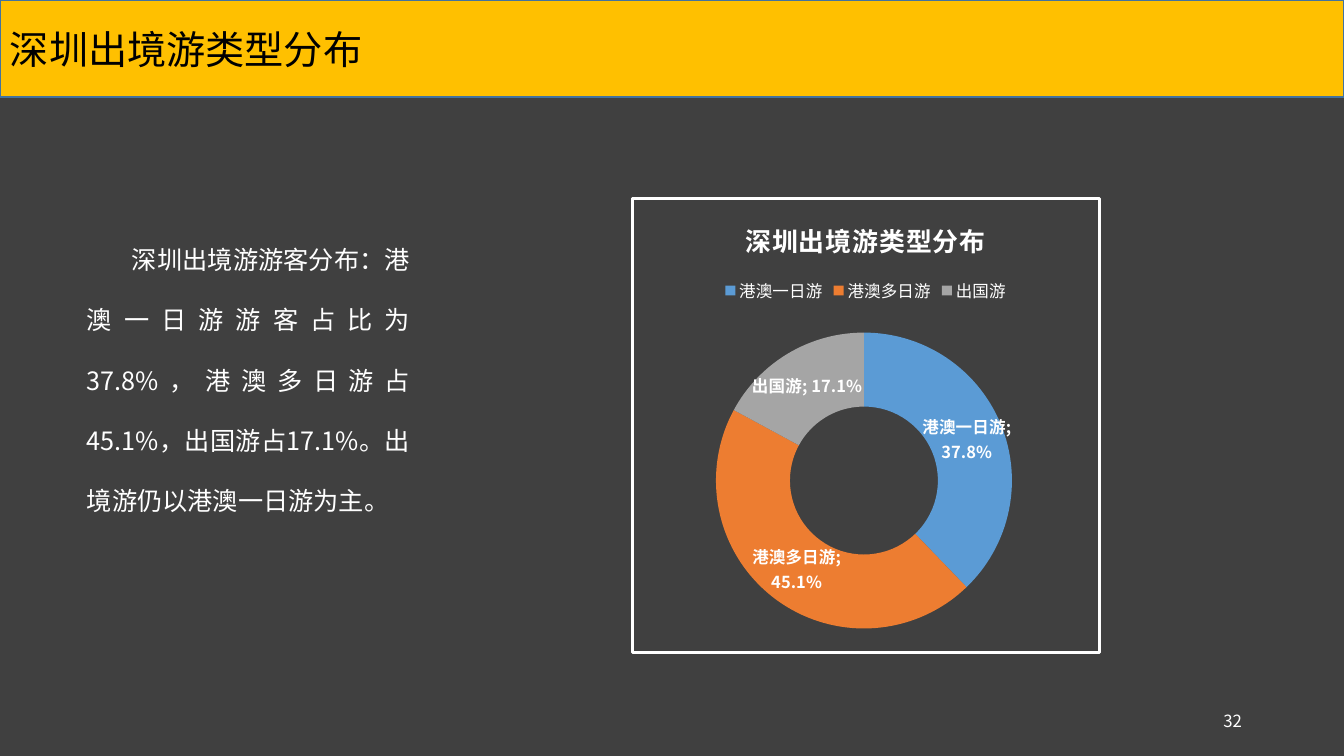
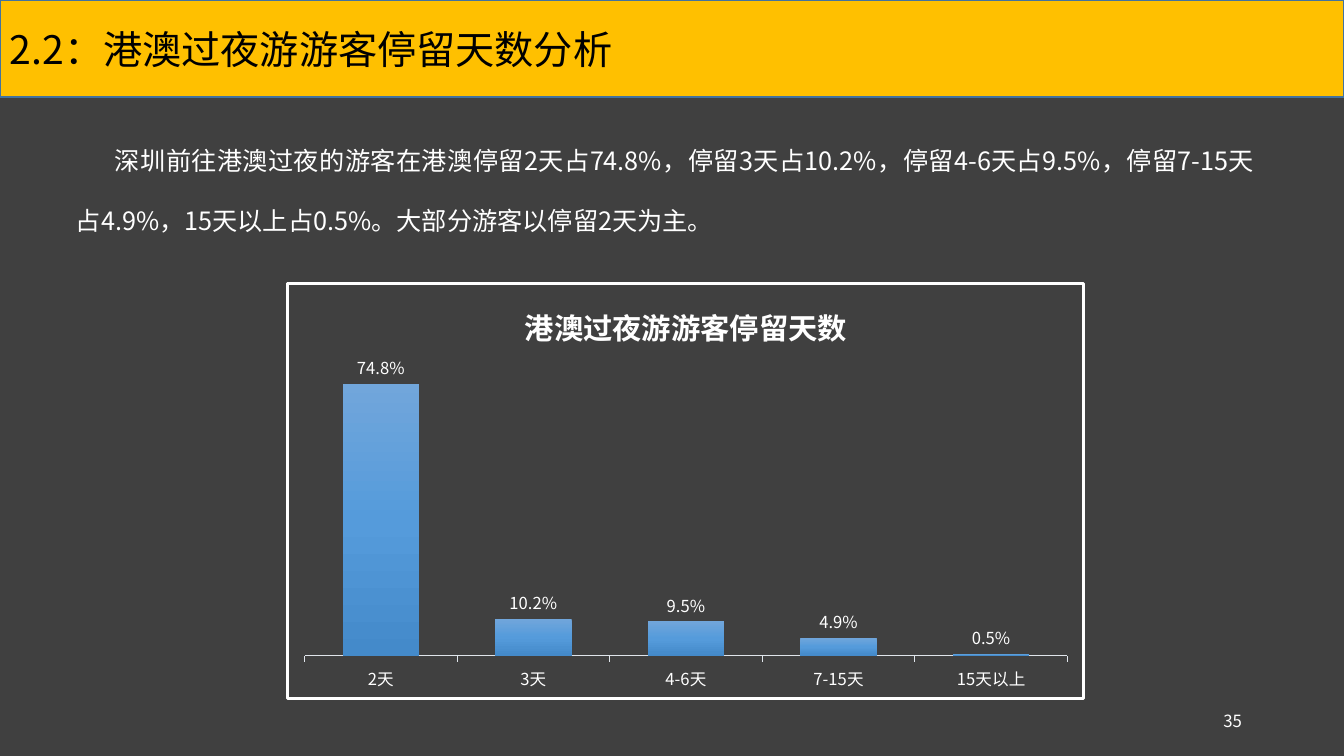
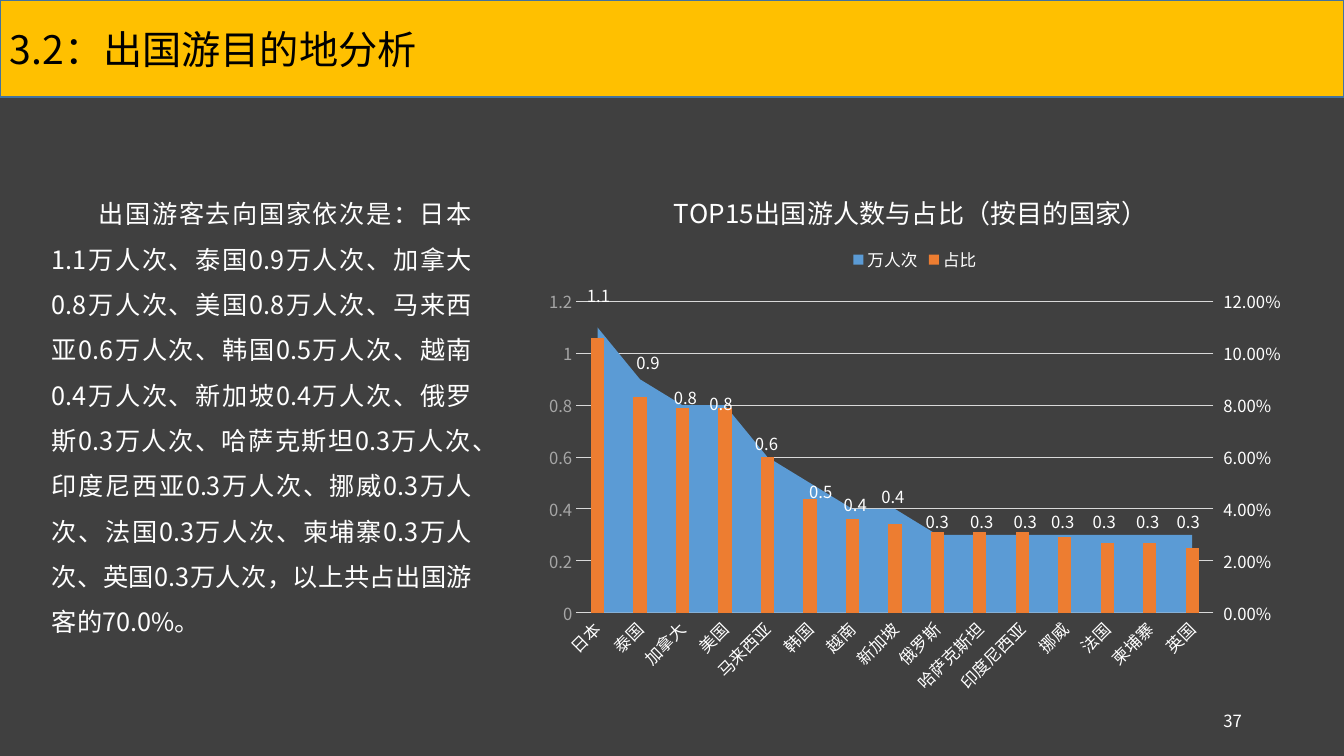
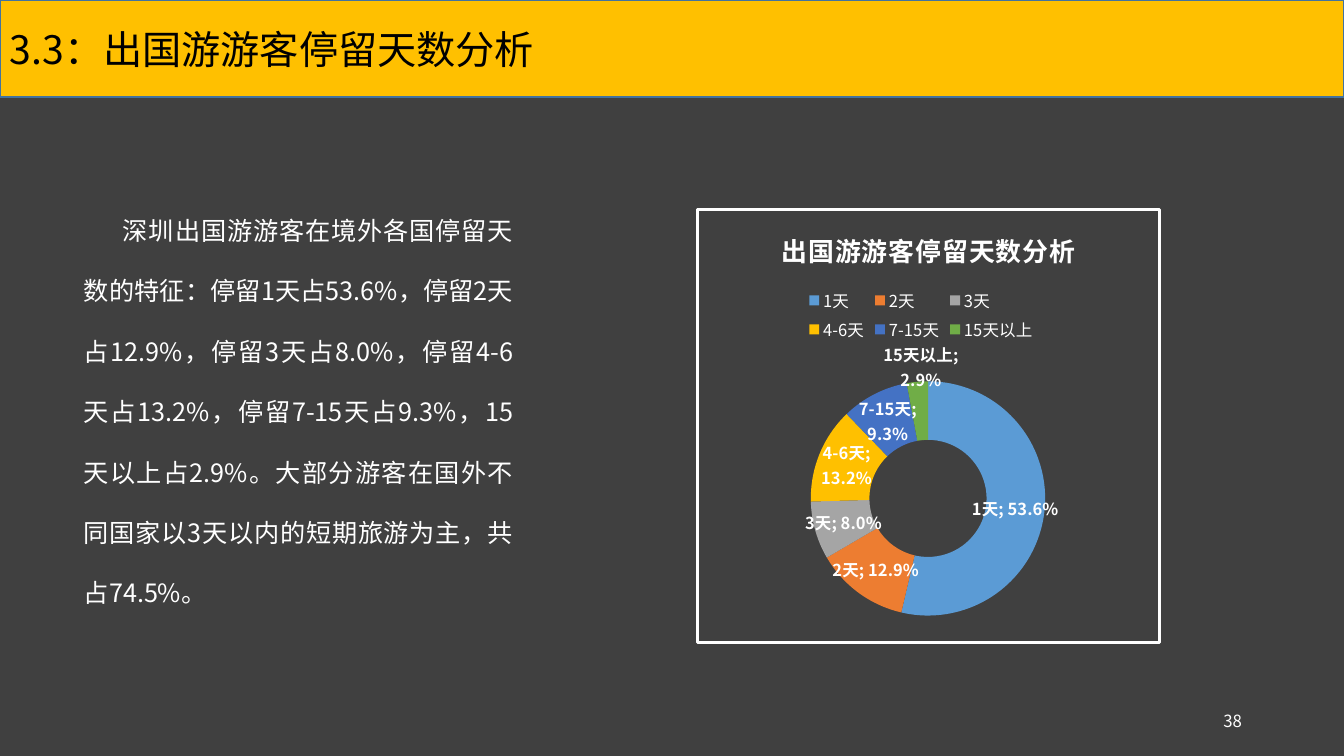
from copy import deepcopy

from pptx import Presentation
from pptx.chart.data import CategoryChartData
from pptx.dml.color import RGBColor
from pptx.enum.chart import XL_CHART_TYPE as ChartType
from pptx.enum.chart import XL_LABEL_POSITION as LabelPosition
from pptx.enum.chart import XL_LEGEND_POSITION as LegendPosition
from pptx.enum.chart import XL_TICK_MARK as TickMark
from pptx.enum.shapes import MSO_SHAPE as Preset
from pptx.enum.text import MSO_ANCHOR as Anchor
from pptx.enum.text import PP_ALIGN as Align
from pptx.oxml import parse_xml
from pptx.oxml.ns import nsdecls, qn
from pptx.util import Pt

PX = 9071
FONT = "Noto Sans CJK SC"
BACKGROUND, BAND, BAND_LINE = "404040", "FFC000", "43739E"
WHITE, BLACK, GRID, MUTED = "FFFFFF", "000000", "D9D9D9", "A6A6A6"
SLICES = ["5B9BD5", "ED7D31", "A5A5A5", "FFC000", "4472C4", "70AD47"]
SMALL = 11.9
XMLNS = nsdecls("c", "a")
rgb = RGBColor.from_string


def style_font(font, size, color=WHITE, bold=False):
    font.size = Pt(size)
    font.bold = bold
    font.color.rgb = rgb(color)
    font.name = FONT
    font._element.append(parse_xml(f'<a:ea {XMLNS} typeface="{FONT}"/>'))


def place(element, index, fractions, edge=True, target="inner"):
    for layout in element.findall(qn("c:layout")):
        element.remove(layout)
    parts = ""
    if len(fractions) == 4:
        parts += f'<c:layoutTarget val="{target}"/>'
    if edge:
        parts += '<c:xMode val="edge"/><c:yMode val="edge"/>'
    for name, value in zip("xywh", fractions):
        parts += f'<c:{name} val="{value:.4f}"/>'
    element.insert(index, parse_xml(
        f"<c:layout {XMLNS}><c:manualLayout>{parts}</c:manualLayout></c:layout>"))


pages = [
    dict(
        number="32", title="深圳出境游类型分布",
        body="深圳出境游游客分布：港澳一日游游客占比为37.8%，港澳多日游占45.1%，出国游占17.1%。出境游仍以港澳一日游为主。",
        body_box=(77, 182, 343, 339), indent=45, spacing=2.0,
        kind=ChartType.DOUGHNUT, chart_box=(631, 197, 470, 457),
        chart_title="深圳出境游类型分布", title_at=(740, 212), title_size=18.6,
        legend_at=(725, 290), plot_box=(715, 332, 298, 298),
        categories=["港澳一日游", "港澳多日游", "出国游"],
        series=[("Series 1", [0.378, 0.451, 0.171])],
        moved_labels=[],
    ),
    dict(
        number="35", title="2.2：港澳过夜游游客停留天数分析",
        body="深圳前往港澳过夜的游客在港澳停留2天占74.8%，停留3天占10.2%，停留4-6天占9.5%，停留7-15天占4.9%，15天以上占0.5%。大部分游客以停留2天为主。",
        body_box=(66, 83, 1198, 158), indent=39, spacing=2.0,
        kind=ChartType.COLUMN_CLUSTERED, chart_box=(286, 282, 799, 418),
        chart_title="港澳过夜游游客停留天数", title_at=(519, 296), title_size=21,
        legend_at=None, plot_box=(303, 364, 766, 293),
        categories=["2天", "3天", "4-6天", "7-15天", "15天以上"],
        series=[("Series 1", [0.748, 0.102, 0.095, 0.049, 0.005])],
        moved_labels=[],
    ),
    dict(
        number="37", title="3.2：出国游目的地分析",
        body="出国游客去向国家依次是：日本1.1万人次、泰国0.9万人次、加拿大0.8万人次、美国0.8万人次、马来西亚0.6万人次、韩国0.5万人次、越南0.4万人次、新加坡0.4万人次、俄罗斯0.3万人次、哈萨克斯坦0.3万人次、印度尼西亚0.3万人次、挪威0.3万人次、法国0.3万人次、柬埔寨0.3万人次、英国0.3万人次，以上共占出国游客的70.0%。",
        body_box=(42, 151, 440, 491), indent=47, spacing=1.5,
        kind=ChartType.AREA_STACKED, chart_box=(534, 171, 762, 549),
        chart_title="TOP15出国游人数与占比（按目的国家）", title_at=(669, 185), title_size=18.6,
        legend_at=(854, 260), plot_box=(549, 289, 732, 405),
        categories=["日本", "泰国", "加拿大", "美国", "马来西亚", "韩国", "越南", "新加坡",
                    "俄罗斯", "哈萨克斯坦", "印度尼西亚", "挪威", "法国", "柬埔寨", "英国"],
        series=[
            ("万人次", [1.1, 0.9, 0.8, 0.8, 0.6, 0.5, 0.4, 0.4] + [0.3] * 7),
            ("占比", [0.106, 0.083, 0.079, 0.079, 0.06, 0.044, 0.036, 0.034,
                    0.031, 0.031, 0.031, 0.029, 0.027, 0.027, 0.025]),
        ],
        moved_labels=[
            (0, 1, -175), (1, 8, -134), (2, 3, -112), (3, -4, -106), (4, -1, -92),
            (5, 11, -57), (6, 3, -57), (7, -2, -65), (8, 0, -53), (9, 2, -53),
            (10, 3, -53), (11, -2, -53), (12, -3, -53), (13, -2, -53), (14, -4, -53)],
    ),
    dict(
        number="38", title="3.3：出国游游客停留天数分析",
        body="深圳出国游游客在境外各国停留天数的特征：停留1天占53.6%，停留2天占12.9%，停留3天占8.0%，停留4-6天占13.2%，停留7-15天占9.3%，15天以上占2.9%。大部分游客在国外不同国家以3天以内的短期旅游为主，共占74.5%。",
        body_box=(74, 152, 449, 461), indent=39, spacing=2.0,
        kind=ChartType.DOUGHNUT, chart_box=(696, 208, 465, 436),
        chart_title="出国游游客停留天数分析", title_at=(776, 222), title_size=18.6,
        legend_at=(809, 300), plot_box=(810, 381, 236, 236),
        categories=["1天", "2天", "3天", "4-6天", "7-15天", "15天以上"],
        series=[("Series 1", [0.536, 0.129, 0.08, 0.132, 0.093, 0.029])],
        moved_labels=[(5, 1, -45)],
    ),
]

presentation = Presentation()
presentation.slide_width = 1344 * PX
presentation.slide_height = 756 * PX
master_fill = presentation.slide_master.background.fill
master_fill.solid()
master_fill.fore_color.rgb = rgb(BACKGROUND)

for page in pages:
    slide = presentation.slides.add_slide(presentation.slide_layouts[6])

    band = slide.shapes.add_shape(Preset.RECTANGLE, 0, 0, 1344 * PX, 97 * PX)
    band.shadow.inherit = False
    band.fill.solid()
    band.fill.fore_color.rgb = rgb(BAND)
    band.line.color.rgb = rgb(BAND_LINE)
    band.line.width = Pt(1)
    band.text_frame.text = page["title"]
    band.text_frame.vertical_anchor = Anchor.MIDDLE
    paragraph = band.text_frame.paragraphs[0]
    paragraph.alignment = Align.LEFT
    style_font(paragraph.runs[0].font, 28, BLACK)

    body = slide.shapes.add_textbox(*[value * PX for value in page["body_box"]])
    body.text_frame.word_wrap = True
    body.text_frame.vertical_anchor = Anchor.BOTTOM
    body.text_frame.text = page["body"]
    paragraph = body.text_frame.paragraphs[0]
    paragraph.alignment = Align.JUSTIFY
    paragraph.line_spacing = page["spacing"]
    paragraph._p.get_or_add_pPr().set("indent", str(page["indent"] * PX))
    style_font(paragraph.runs[0].font, 18)

    kind = page["kind"]
    is_doughnut = kind == ChartType.DOUGHNUT
    is_column = kind == ChartType.COLUMN_CLUSTERED
    is_area = kind == ChartType.AREA_STACKED
    left, top, width, height = page["chart_box"]
    chart_data = CategoryChartData()
    chart_data.categories = page["categories"]
    for name, values in page["series"]:
        chart_data.add_series(name, values)
    chart = slide.shapes.add_chart(
        kind, left * PX, top * PX, width * PX, height * PX, chart_data).chart
    style_font(chart.font, 10)
    chart_space = chart._chartSpace
    outline = "<a:ln><a:noFill/></a:ln>"
    if not is_area:
        outline = (f'<a:ln w="28575"><a:solidFill><a:srgbClr val="{WHITE}"/>'
                   "</a:solidFill><a:round/></a:ln>")
    chart_space.find(qn("c:chart")).addnext(
        parse_xml(f"<c:spPr {XMLNS}><a:noFill/>{outline}</c:spPr>"))

    chart.has_title = True
    chart_title = chart.chart_title
    chart_title.text_frame.text = page["chart_title"]
    title_run = chart_title.text_frame.paragraphs[0].runs[0]
    style_font(title_run.font, page["title_size"], bold=not is_area)
    if is_doughnut:
        title_run.font._element.set("spc", "50")
    title_left, title_top = page["title_at"]
    place(chart_title._element, 1,
          ((title_left - left) / width, (title_top - top) / height))

    chart.has_legend = page["legend_at"] is not None
    if chart.has_legend:
        legend = chart.legend
        legend.position = LegendPosition.TOP
        legend.include_in_layout = False
        style_font(legend.font, SMALL)
        legend_left, legend_middle = page["legend_at"]
        place(legend._element, 1,
              ((legend_left - 6 - left) / width, (legend_middle - 17 - top) / height))

    plot_left, plot_top, plot_width, plot_height = page["plot_box"]
    plot_area = chart_space.find(".//" + qn("c:plotArea"))
    place(plot_area, 0, ((plot_left - left) / width, (plot_top - top) / height,
                         plot_width / width, plot_height / height),
          target="outer" if is_area else "inner")

    plot = chart.plots[0]
    plot.vary_by_categories = is_doughnut
    series = plot.series[0]
    labels = series.data_labels
    labels.show_value = True
    labels.number_format = "General" if is_area else "0.0%"
    labels.number_format_is_linked = False
    style_font(labels.font, SMALL, bold=is_doughnut)
    labels_element = labels._element
    for leader_lines in labels_element.findall(qn("c:showLeaderLines")):
        leader_lines.set("val", "0")

    if is_doughnut:
        labels.show_category_name = True
        labels.show_percentage = False
        labels_element.find(qn("c:showBubbleSize")).addnext(
            parse_xml(f"<c:separator {XMLNS}>; </c:separator>"))
        for index, color in zip(range(len(page["categories"])), SLICES):
            slice_fill = series.points[index].format.fill
            slice_fill.solid()
            slice_fill.fore_color.rgb = rgb(color)
    else:
        category_axis, value_axis = chart.category_axis, chart.value_axis
        category_axis.has_major_gridlines = False
        category_axis.major_tick_mark = TickMark.OUTSIDE if is_column else TickMark.NONE
        category_axis.format.line.color.rgb = rgb("E0E5EB" if is_column else GRID)
        category_axis.format.line.width = Pt(0.75)
        style_font(category_axis.tick_labels.font, SMALL)
        value_axis.minimum_scale = 0
        value_axis.maximum_scale = 0.8 if is_column else 1.2
        value_axis.major_unit = 0.2
        value_axis.has_major_gridlines = is_area
        value_axis.visible = is_area

    if is_column:
        plot.gap_width = 100
        labels.position = LabelPosition.OUTSIDE_END
        stops = "".join(
            f'<a:gs pos="{position}"><a:srgbClr val="{color}"/></a:gs>'
            for position, color in [(0, "71A6DB"), (50000, "559BDB"), (100000, "448ACA")])
        series._element.get_or_add_spPr().insert(0, parse_xml(
            f'<a:gradFill {XMLNS} rotWithShape="1"><a:gsLst>{stops}</a:gsLst>'
            '<a:lin ang="5400000" scaled="0"/></a:gradFill>'))

    if is_area:
        for area_series, color in zip(plot.series, SLICES):
            area_series.format.fill.solid()
            area_series.format.fill.fore_color.rgb = rgb(color)
        category_axis._element.find(qn("c:txPr")).find(qn("a:bodyPr")).set("rot", "-2700000")
        value_axis.major_tick_mark = TickMark.NONE
        value_axis.format.line.fill.background()
        value_axis.major_gridlines.format.line.color.rgb = rgb(GRID)
        value_axis.major_gridlines.format.line.width = Pt(0.75)
        value_axis.tick_labels.number_format = "General"
        value_axis.tick_labels.number_format_is_linked = False
        style_font(value_axis.tick_labels.font, SMALL, MUTED)

        bar_chart = parse_xml(
            f'<c:barChart {XMLNS}><c:barDir val="col"/><c:grouping val="clustered"/>'
            '<c:varyColors val="0"/><c:gapWidth val="219"/>'
            '<c:axId val="5001"/><c:axId val="5002"/></c:barChart>')
        bar_chart.insert(3, plot.series[1]._element)
        plot._element.addnext(bar_chart)
        hidden_axis = parse_xml(
            f'<c:catAx {XMLNS}><c:axId val="5001"/>'
            '<c:scaling><c:orientation val="minMax"/></c:scaling><c:delete val="1"/>'
            '<c:axPos val="b"/><c:majorTickMark val="none"/><c:minorTickMark val="none"/>'
            '<c:tickLblPos val="nextTo"/><c:crossAx val="5002"/>'
            '<c:crosses val="autoZero"/></c:catAx>')
        right_axis = parse_xml(
            f'<c:valAx {XMLNS}><c:axId val="5002"/>'
            '<c:scaling><c:orientation val="minMax"/><c:max val="0.12"/><c:min val="0"/></c:scaling>'
            '<c:delete val="0"/><c:axPos val="r"/>'
            '<c:numFmt formatCode="0.00%" sourceLinked="0"/>'
            '<c:majorTickMark val="out"/><c:minorTickMark val="none"/>'
            '<c:tickLblPos val="nextTo"/><c:spPr><a:ln><a:noFill/></a:ln></c:spPr>'
            '<c:crossAx val="5001"/><c:crosses val="max"/>'
            '<c:crossBetween val="between"/><c:majorUnit val="0.02"/></c:valAx>')
        right_axis.find(qn("c:spPr")).addnext(
            deepcopy(category_axis._element.find(qn("c:txPr"))))
        right_axis.find(qn("c:txPr")).find(qn("a:bodyPr")).set("rot", "0")
        value_axis._element.addnext(right_axis)
        right_axis.addnext(hidden_axis)
        value_axis._element.find(qn("c:crossBetween")).set("val", "between")

    skipped = (qn("c:dLbl"), qn("c:showLeaderLines"))
    shared_settings = [child for child in labels_element if child.tag not in skipped]
    for order, (index, dx, dy) in enumerate(page["moved_labels"]):
        label = parse_xml(f'<c:dLbl {XMLNS}><c:idx val="{index}"/></c:dLbl>')
        place(label, 1, (dx / width, dy / height), edge=False)
        for setting in shared_settings:
            label.append(deepcopy(setting))
        labels_element.insert(order, label)

    page_number = slide.shapes.add_textbox(950 * PX, 701 * PX, 302 * PX, 40 * PX)
    page_number.text_frame.word_wrap = True
    page_number.text_frame.vertical_anchor = Anchor.MIDDLE
    page_number.text_frame.text = page["number"]
    paragraph = page_number.text_frame.paragraphs[0]
    paragraph.alignment = Align.RIGHT
    style_font(paragraph.runs[0].font, 12)

presentation.save("out.pptx")
